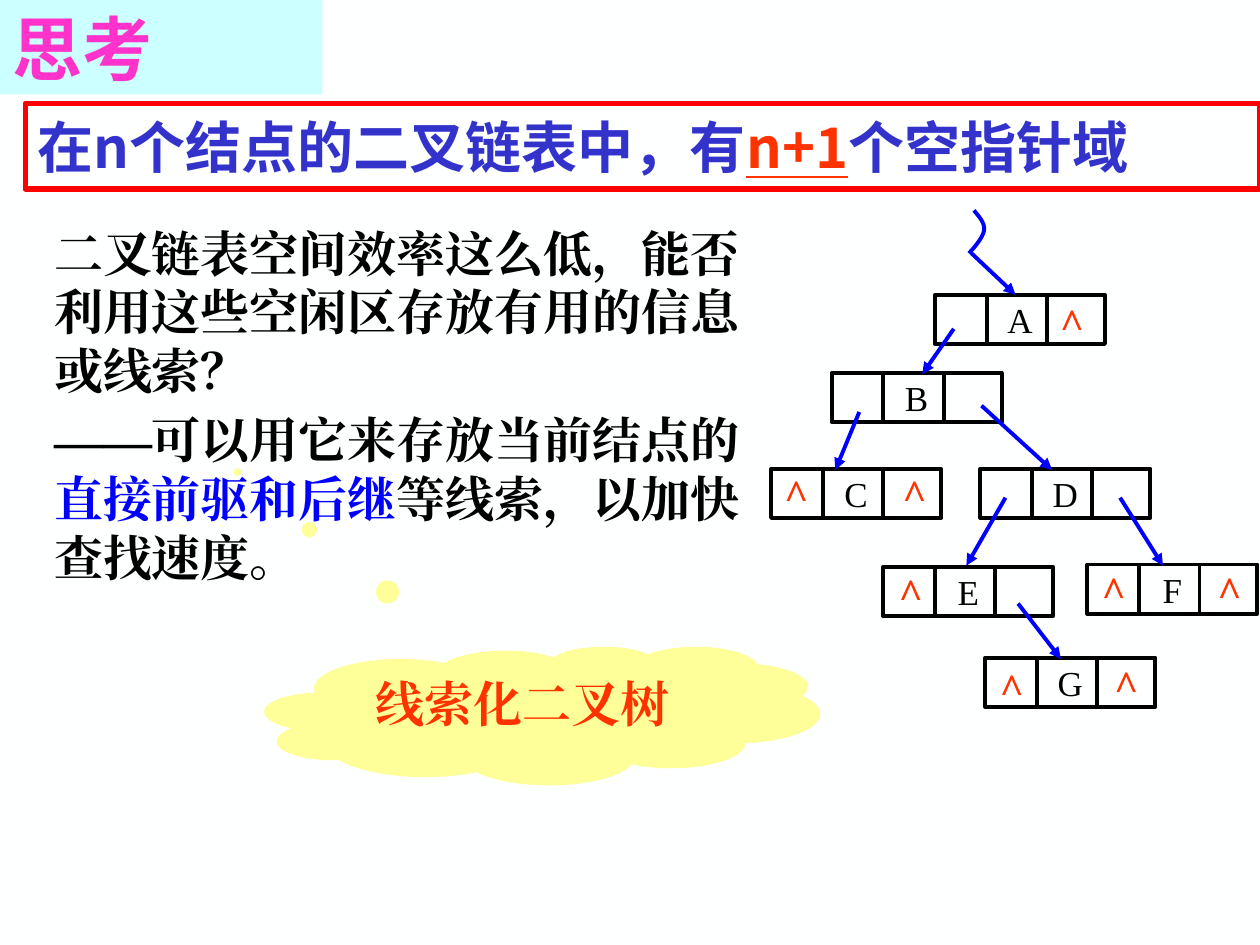
from pptx import Presentation
from pptx.dml.color import RGBColor
from pptx.enum.shapes import MSO_CONNECTOR, MSO_SHAPE
from pptx.enum.text import MSO_ANCHOR, MSO_AUTO_SIZE, PP_ALIGN
from pptx.oxml.ns import qn
from pptx.util import Inches, Pt
from lxml.etree import SubElement

COLORS = {k: RGBColor.from_string(v) for k, v in {
    "background": "FEFFFF", "black": "000000", "blue": "0000FF",
    "indigo": "3333CC", "red": "FF0000", "orange": "FF3300",
    "pink": "FF33CC", "cyan": "CCFFFF", "yellow": "FFFF99"}.items()}
SANS, SERIF = "Noto Sans CJK SC", "Times New Roman"


def add_run(p, text, size, color, font=SERIF, bold=True):
    r = p.add_run()
    r.text = text
    r.font.size = Pt(size)
    r.font.bold = bold
    r.font.name = font
    r.font.color.rgb = COLORS[color]
    SubElement(r.font._element, qn("a:ea")).set("typeface", font)
    return r


def add_line(start, end, color, arrow=False):
    line = s.shapes.add_connector(
        MSO_CONNECTOR.STRAIGHT, *(Inches(v) for v in (*start, *end)))
    line.line.color.rgb = COLORS[color]
    line.line.width = Pt(2.25)
    if arrow:
        SubElement(line.line._get_or_add_ln(), qn("a:tailEnd")).set("type", "triangle")
    SubElement(line._element.spPr, qn("a:effectLst"))


prs = Presentation()
prs.slide_width, prs.slide_height = Inches(10), Inches(7.5)
s = prs.slides.add_slide(prs.slide_layouts[1])
s.background.fill.solid()
s.background.fill.fore_color.rgb = COLORS["background"]

# Title
title = s.shapes.title
title.left, title.top, title.width, title.height = (
    Inches(v) for v in (0, 0, 2.56, 0.75))
title.fill.solid()
title.fill.fore_color.rgb = COLORS["cyan"]
tf = title.text_frame
tf.auto_size = MSO_AUTO_SIZE.NONE
tf.vertical_anchor = MSO_ANCHOR.MIDDLE
p = tf.paragraphs[0]
p.alignment = PP_ALIGN.LEFT
add_run(p, "思考", 40, "pink", SANS)

# Cloud
cloud = s.shapes.add_shape(MSO_SHAPE.CLOUD_CALLOUT, Inches(2.1), Inches(5.13),
                           Inches(4.41), Inches(1.1))
cloud.adjustments[0], cloud.adjustments[1] = -0.549, -1.757
cloud.shadow.inherit = False
cloud.fill.solid()
cloud.fill.fore_color.rgb = COLORS["yellow"]
cloud.line.fill.background()
cloud.text_frame.vertical_anchor = MSO_ANCHOR.TOP
p = cloud.text_frame.paragraphs[0]
p.alignment = PP_ALIGN.CENTER
pPr = p._p.get_or_add_pPr()
pPr.set("marL", str(Inches(0.38)))
pPr.set("indent", str(Inches(-0.38)))
add_run(p, "线索化二叉树", 28, "orange")

# Question and answer, in front of the cloud's bubbles
body = s.placeholders[1]
body.left, body.top, body.width, body.height = (
    Inches(v) for v in (0.33, 1.72, 5.78, 3))
s.shapes._spTree.append(body._element)
tf = body.text_frame
tf.auto_size = MSO_AUTO_SIZE.NONE
paragraphs = [
    [("二叉链表空间效率这么低，能否利用这些空闲区存放有用的信息或线索？", "black")],
    [("——可以用它来存放当前结点的", "black"), ("直接前驱和后继", "blue"),
     ("等线索，以加快查找速度。", "black")],
]
for i, runs in enumerate(paragraphs):
    p = tf.add_paragraph() if i else tf.paragraphs[0]
    pPr = p._p.get_or_add_pPr()
    pPr.set("marL", "0")
    pPr.set("indent", "0")
    p.space_before = Pt(5.6 if i else 0)
    SubElement(pPr, qn("a:buNone"))
    for text, color in runs:
        add_run(p, text, 28, color)

# Framed statement
frame = s.shapes.add_shape(MSO_SHAPE.RECTANGLE, Inches(0.2), Inches(0.82),
                           Inches(9.8), Inches(0.68))
frame.shadow.inherit = False
frame.fill.background()
frame.line.color.rgb = COLORS["red"]
frame.line.width = Pt(3)
frame.text_frame.vertical_anchor = MSO_ANCHOR.MIDDLE
p = frame.text_frame.paragraphs[0]
p.alignment = PP_ALIGN.LEFT
add_run(p, "在n个结点的二叉链表中，有", 32, "indigo", SANS)
add_run(p, "n+1", 32, "orange", SANS).font.underline = True
add_run(p, "个空指针域", 32, "indigo", SANS)

# Tree nodes: left pointer, data, right pointer
NODE_W, NODE_H = 1.35, 0.39
nodes = {"A": (7.42, 2.34), "B": (6.6, 2.96), "C": (6.12, 3.72), "D": (7.78, 3.72),
         "E": (7.01, 4.5), "F": (8.63, 4.48), "G": (7.82, 5.22)}
for name, (x, y) in nodes.items():
    sp = s.shapes.add_shape(MSO_SHAPE.RECTANGLE, Inches(x), Inches(y),
                            Inches(NODE_W), Inches(NODE_H))
    sp.shadow.inherit = False
    sp.fill.background()
    sp.line.color.rgb = COLORS["black"]
    sp.line.width = Pt(2.25)
    tf = sp.text_frame
    tf.word_wrap = False
    tf.vertical_anchor = MSO_ANCHOR.MIDDLE
    p = tf.paragraphs[0]
    p.alignment = PP_ALIGN.CENTER
    add_run(p, name, 20, "black", bold=False)
    for offset in (0.41, 0.89):
        add_line((x + offset, y), (x + offset, y + NODE_H), "black")

# Pointers, the last one into the root
pointers = [((7.57, 2.61), (7.32, 2.97)), ((6.82, 3.27), (6.63, 3.73)),
            ((7.79, 3.22), (8.35, 3.73)), ((7.98, 3.95), (7.67, 4.49)),
            ((8.89, 3.95), (9.23, 4.49)), ((8.08, 4.79), (8.42, 5.23)),
            ((7.71, 2.01), (8.06, 2.34))]
for start, end in pointers:
    add_line(start, end, "blue", arrow=True)

# Curved tail of the root pointer, sampled from two Bezier curves
curves = [((7.73, 1.67), (7.77, 1.72), (7.82, 1.77), (7.81, 1.83)),
          ((7.81, 1.83), (7.8, 1.89), (7.72, 1.98), (7.69, 2.01))]
STEPS = 10
points = []
for curve in curves:
    for i in range(1, STEPS + 1):
        t = i / STEPS
        weights = ((1 - t) ** 3, 3 * t * (1 - t) ** 2, 3 * t * t * (1 - t), t ** 3)
        points.append(tuple(Inches(sum(w * c[axis] for w, c in zip(weights, curve)))
                            for axis in (0, 1)))
builder = s.shapes.build_freeform(Inches(7.73), Inches(1.67))
builder.add_line_segments(points, close=False)
tail = builder.convert_to_shape()
tail.shadow.inherit = False
tail.fill.background()
tail.line.color.rgb = COLORS["blue"]
tail.line.width = Pt(2.25)

# Null pointer marks
null_marks = [(8.31, 2.3), (6.12, 3.66), (7.06, 3.66), (7.03, 4.45),
              (8.64, 4.43), (9.56, 4.43), (7.83, 5.2), (8.74, 5.18)]
for x, y in null_marks:
    mark = s.shapes.add_textbox(Inches(x), Inches(y), Inches(0.4), Inches(0.5))
    tf = mark.text_frame
    tf.word_wrap = False
    tf.vertical_anchor = MSO_ANCHOR.MIDDLE
    p = tf.paragraphs[0]
    p.alignment = PP_ALIGN.CENTER
    add_run(p, "^", 24, "orange")

prs.save("out.pptx")
